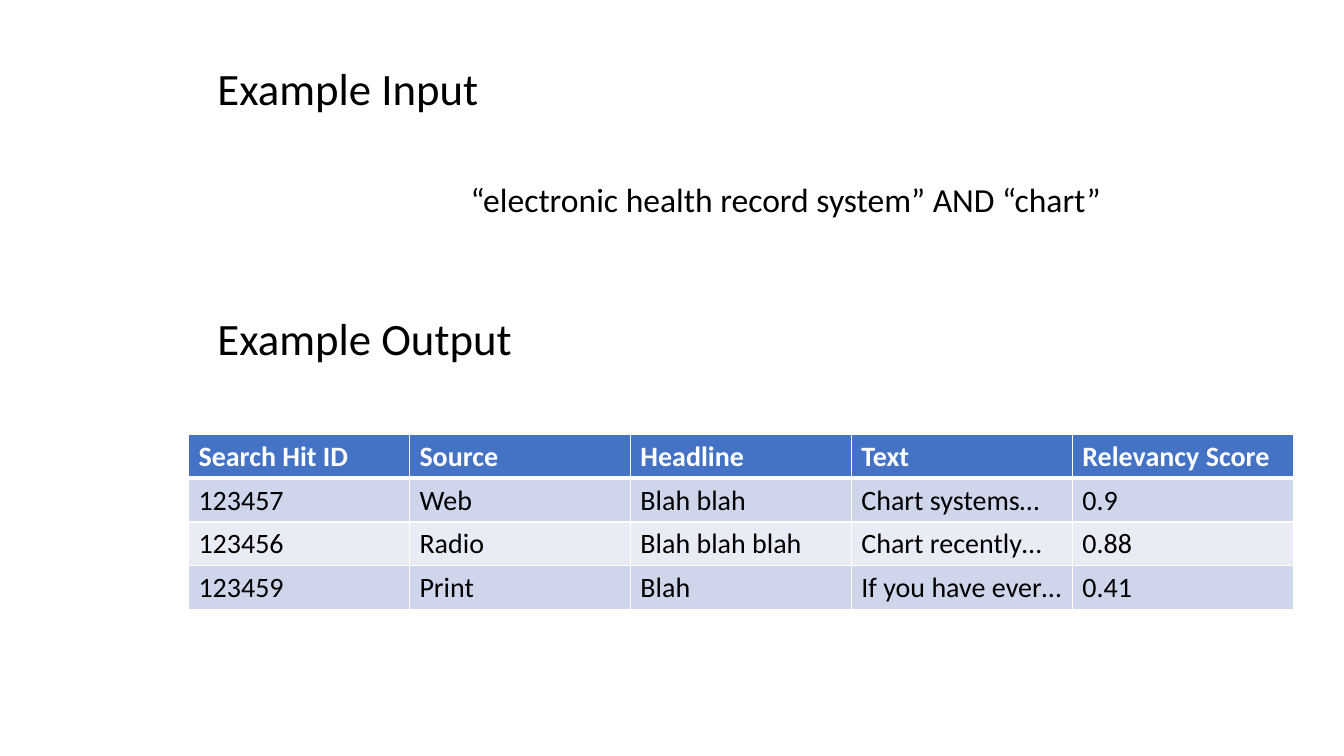
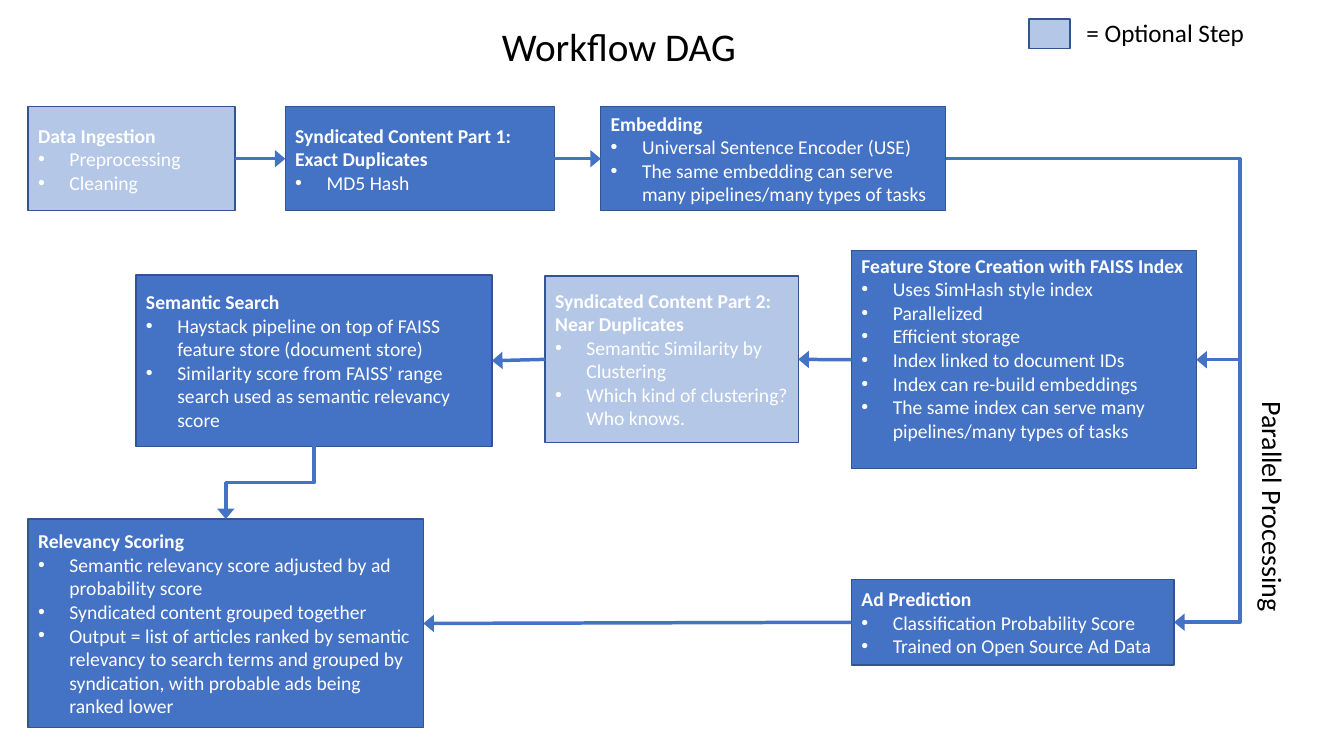
from dataclasses import dataclass

from lxml.etree import SubElement
from pptx import Presentation
from pptx.dml.color import RGBColor
from pptx.enum.shapes import MSO_CONNECTOR, MSO_SHAPE
from pptx.enum.text import MSO_ANCHOR, PP_ALIGN
from pptx.oxml.ns import qn
from pptx.util import Cm, Pt


@dataclass(frozen=True)
class Theme:
    font: str = "Calibri"
    ink: RGBColor = RGBColor(0x00, 0x00, 0x00)
    paper: RGBColor = RGBColor(0xFF, 0xFF, 0xFF)
    main: RGBColor = RGBColor(0x44, 0x72, 0xC4)
    optional: RGBColor = RGBColor(0xB4, 0xC7, 0xE7)
    outline: RGBColor = RGBColor(0x32, 0x54, 0x91)
    odd_row: RGBColor = RGBColor(0xCF, 0xD5, 0xEA)
    even_row: RGBColor = RGBColor(0xE9, 0xEB, 0xF5)
    heading: Pt = Pt(32)
    title: Pt = Pt(28)
    query: Pt = Pt(24)
    table: Pt = Pt(20)
    legend: Pt = Pt(18)
    step: Pt = Pt(14)


theme = Theme()


def write(paragraph, text, size, color, bold=False):
    run = paragraph.add_run()
    run.text = text
    run.font.color.rgb = color
    for name, value in {"name": theme.font, "size": size, "bold": bold}.items():
        setattr(run.font, name, value)


def add_label(slide, text, size, left, top, width, height):
    label = slide.shapes.add_textbox(Cm(left), Cm(top), Cm(width), Cm(height))
    label.text_frame.word_wrap = True
    write(label.text_frame.paragraphs[0], text, size, theme.ink)
    return label


deck = Presentation()
deck.slide_width, deck.slide_height = Cm(33.87), Cm(19.05)
blank = deck.slide_layouts[6]

example = deck.slides.add_slide(blank)
add_label(example, "Example Output", theme.heading, 5.23, 7.7, 9.17, 1.63)
add_label(example, "Example Input", theme.heading, 5.23, 1.4, 9.17, 1.63)
add_label(example, "“electronic health record system” AND “chart”",
          theme.query, 11.61, 4.39, 17.02, 1.27)

hits = [
    ("Search Hit ID", "Source", "Headline", "Text", "Relevancy Score"),
    ("123457", "Web", "Blah blah", "Chart systems…", "0.9"),
    ("123456", "Radio", "Blah blah blah", "Chart recently…", "0.88"),
    ("123459", "Print", "Blah", "If you have ever…", "0.41"),
]
hit_table = example.shapes.add_table(
    len(hits), len(hits[0]), Cm(4.75), Cm(10.95), Cm(27.84), Cm(4.4)).table
row_fills = [theme.main, theme.odd_row, theme.even_row, theme.odd_row]
for row, (values, row_fill) in enumerate(zip(hits, row_fills)):
    header = row == 0
    for column, value in enumerate(values):
        cell = hit_table.cell(row, column)
        if header:
            rule = SubElement(cell._tc.get_or_add_tcPr(), qn("a:lnB"), w=str(Pt(3)))
            SubElement(SubElement(rule, qn("a:solidFill")), qn("a:srgbClr"), val=str(theme.paper))
        cell.fill.solid()
        cell.fill.fore_color.rgb = row_fill
        write(cell.text_frame.paragraphs[0], value, theme.table,
              theme.paper if header else theme.ink, header)

workflow = deck.slides.add_slide(blank)
steps = {
    "ingestion": (theme.optional, (0.71, 2.69, 5.21, 2.62),
                  ["Data Ingestion", "Preprocessing", "Cleaning"]),
    "embedding": (theme.main, (15.14, 2.69, 8.69, 2.62),
                  ["Embedding", "Universal Sentence Encoder (USE)",
                   "The same embedding can serve many pipelines/many types of tasks"]),
    "exact": (theme.main, (7.19, 2.69, 6.78, 2.62),
              ["Syndicated Content Part 1: Exact Duplicates", "MD5 Hash"]),
    "near": (theme.optional, (13.74, 6.96, 6.38, 4.19),
             ["Syndicated Content Part 2: Near Duplicates",
              "Semantic Similarity by Clustering",
              "Which kind of clustering? Who knows."]),
    "features": (theme.main, (21.46, 6.32, 8.69, 5.49),
                 ["Feature Store Creation with FAISS Index",
                  "Uses SimHash style index", "Parallelized", "Efficient storage",
                  "Index linked to document IDs", "Index can re-build embeddings",
                  "The same index can serve many pipelines/many types of tasks"]),
    "ads": (theme.main, (21.46, 14.6, 8.13, 2.16),
            ["Ad Prediction", "Classification Probability Score",
             "Trained on Open Source Ad Data"]),
    "search": (theme.main, (3.43, 6.93, 8.97, 4.32),
               ["Semantic Search",
                "Haystack pipeline on top of FAISS feature store (document store)",
                "Similarity score from FAISS’ range search used as semantic relevancy score"]),
    "scoring": (theme.main, (0.71, 13.08, 9.96, 5.26),
                ["Relevancy Scoring",
                 "Semantic relevancy score adjusted by ad probability score",
                 "Syndicated content grouped together",
                 "Output = list of articles ranked by semantic relevancy to search terms "
                 "and grouped by syndication, with probable ads being ranked lower"]),
    "legend": (theme.optional, (25.93, 0.48, 1.04, 0.74), []),
}
step_frame = {"word_wrap": True, "vertical_anchor": MSO_ANCHOR.MIDDLE}
boxes = {}
for step, (color, place, lines) in steps.items():
    box = workflow.shapes.add_shape(MSO_SHAPE.RECTANGLE, *map(Cm, place))
    box.shadow.inherit = False
    box.fill.solid()
    box.fill.fore_color.rgb = color
    box.line.color.rgb = theme.outline
    box.line.width = Pt(1)
    for name, value in step_frame.items():
        setattr(box.text_frame, name, value)
    for number, line in enumerate(lines):
        paragraph = box.text_frame.paragraphs[0] if number == 0 else box.text_frame.add_paragraph()
        paragraph.alignment = PP_ALIGN.LEFT
        write(paragraph, line, theme.step, theme.paper, number == 0)
        if number:
            bullet = paragraph._p.get_or_add_pPr()
            bullet.set("marL", str(Cm(0.79)))
            bullet.set("indent", str(-Cm(0.79)))
            SubElement(bullet, qn("a:buFont"), typeface="Arial")
            SubElement(bullet, qn("a:buChar"), char="•")
    boxes[step] = box
boxes["features"].text_frame.margin_bottom = Cm(0.72)

add_label(workflow, "Workflow DAG", theme.title, 12.4, 0.43, 6.78, 1.45)
add_label(workflow, "= Optional Step", theme.legend, 27.13, 0.3, 4.95, 1.02)
parallel = add_label(workflow, "Parallel Processing", theme.table, 31.27, 9.86, 1.37, 6.63)
parallel.element.txBody.bodyPr.set("vert", "vert")

LEFT, RIGHT = 1, 3
straight_links = [
    ("ingestion", RIGHT, "exact", LEFT),
    ("exact", RIGHT, "embedding", LEFT),
    ("features", LEFT, "near", RIGHT),
    ("near", LEFT, "search", RIGHT),
    ("ads", LEFT, "scoring", RIGHT),
]
parallel_links = [("embedding", RIGHT, step, RIGHT) for step in ("features", "ads")]
bus = Cm(31.25)
arrows = []
for kind, links in ((MSO_CONNECTOR.STRAIGHT, straight_links),
                    (MSO_CONNECTOR.ELBOW, parallel_links)):
    for source, source_site, target, target_site in links:
        arrow = workflow.shapes.add_connector(kind, 0, 0, 0, 0)
        arrow.begin_connect(boxes[source], source_site)
        arrow.end_connect(boxes[target], target_site)
        if kind == MSO_CONNECTOR.ELBOW:
            bend = round((bus - arrow.begin_x) / (arrow.end_x - arrow.begin_x) * 100000)
            guides = arrow.element.spPr.find(qn("a:prstGeom")).get_or_add_avLst()
            SubElement(guides, qn("a:gd"), name="adj1", fmla=f"val {bend}")
        arrows.append(arrow)

search, scoring = boxes["search"], boxes["scoring"]
start_x, start_y = search.left + search.width // 2, search.top + search.height
end_x, end_y = scoring.left + scoring.width // 2, scoring.top
middle_x, middle_y = (start_x + end_x) // 2, (start_y + end_y) // 2
half_drop, half_shift = (end_y - start_y) // 2, (start_x - end_x) // 2
descent = workflow.shapes.add_connector(
    MSO_CONNECTOR.ELBOW, middle_x - half_drop, middle_y - half_shift,
    middle_x + half_drop, middle_y + half_shift)
descent.element.spPr.find(qn("a:xfrm")).set("rot", str(90 * 60000))
arrows.append(descent)

for arrow in arrows:
    arrow.line.color.rgb = theme.main
    arrow.line.width = Pt(2.5)
    SubElement(arrow.element.spPr.get_or_add_ln(), qn("a:tailEnd"),
               type="triangle", w="lg", len="med")
    SubElement(arrow.element.spPr, qn("a:effectLst"))

deck.save("out.pptx")
